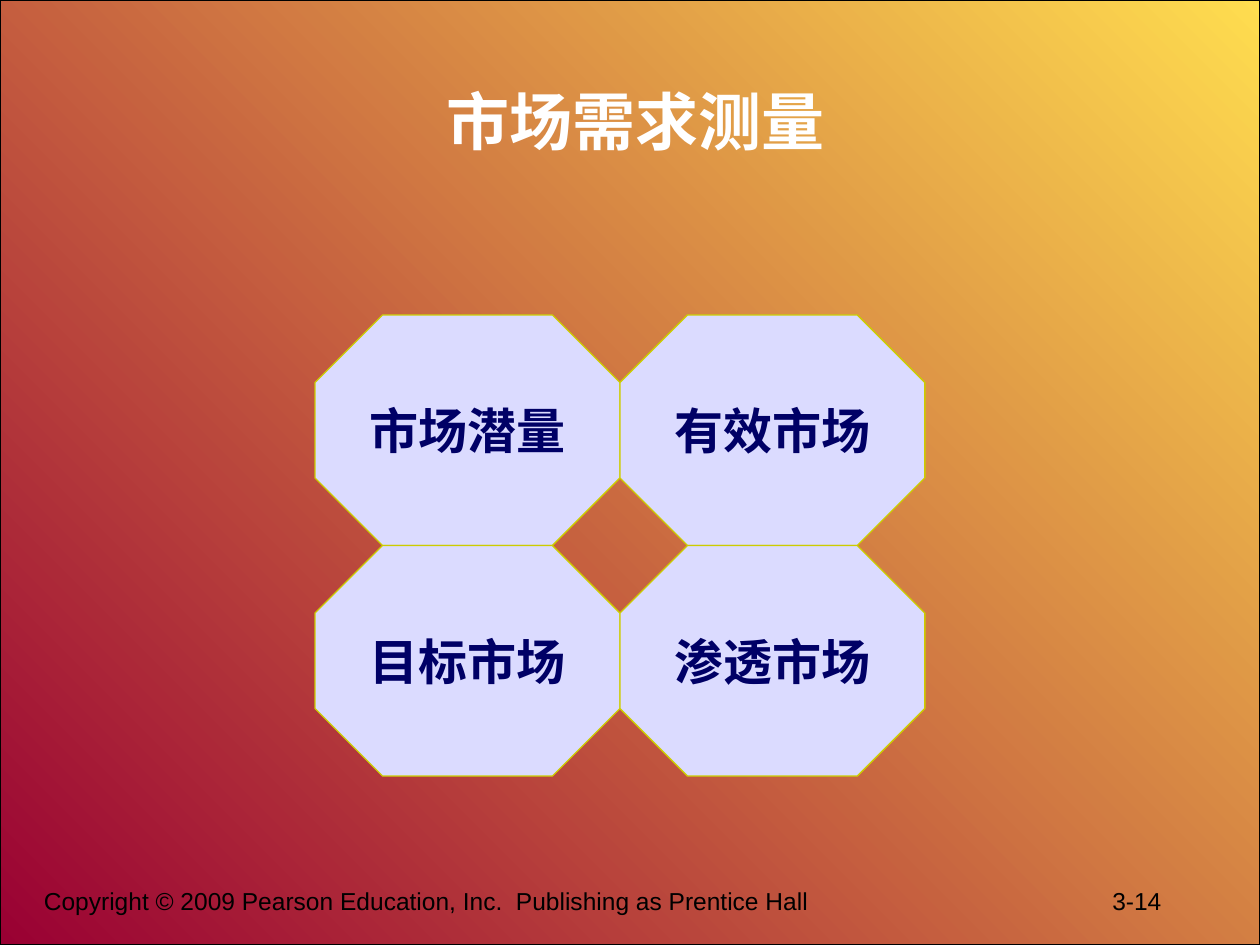
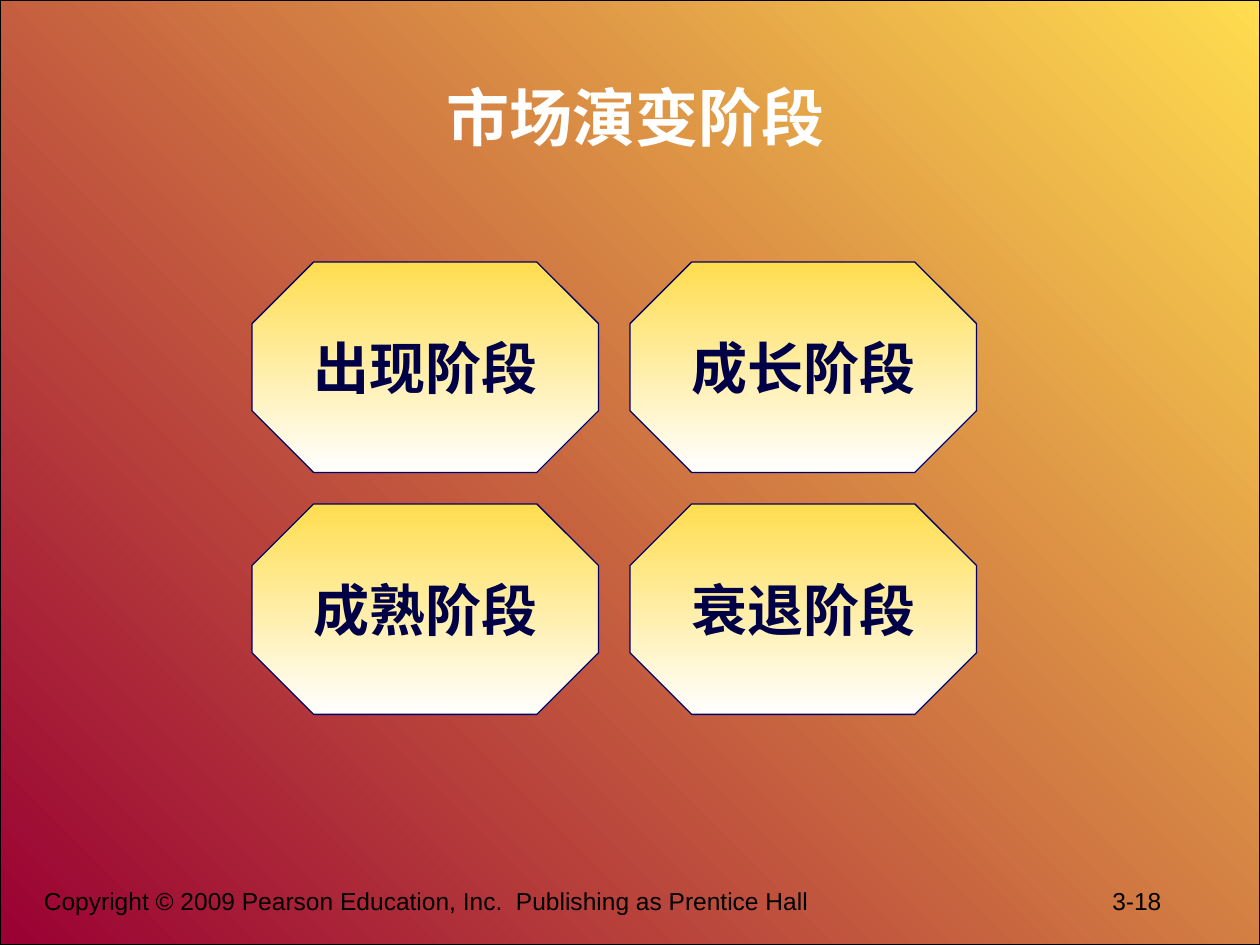
"""Build two slides on market demand and market evolution."""
from dataclasses import dataclass

from lxml import etree
from pptx import Presentation
from pptx import util as u
from pptx.dml.color import RGBColor
from pptx.enum import shapes, text
from pptx.oxml import ns


@dataclass(frozen=True)
class Theme:
    """Colours, fonts and type sizes shared by the slides."""
    yellow: str = "FFDD4F"
    crimson: str = "990033"
    white: str = "FFFFFF"
    black: str = "000000"
    lavender: str = "DBDBFF"
    olive: str = "CCCC00"
    navy: str = "000066"
    dark_navy: str = "000046"
    latin: str = "Arial"
    chinese: str = "Noto Sans CJK SC"
    title_size: int = 36
    demand_size: int = 28
    stage_size: int = 32
    footer_size: int = 14
    line_width: float = 0.75


@dataclass(frozen=True)
class OctagonStyle:
    """Look of the octagons on one slide."""
    fill: tuple
    line: str
    ink: str
    size: int


@dataclass(frozen=True)
class Grid:
    """Place of a two-column grid of octagons, in inches."""
    left: float
    top: float
    width: float
    height: float
    gap: float = 0


THEME = Theme()
DEMAND = OctagonStyle((THEME.lavender,), THEME.olive, THEME.navy, THEME.demand_size)
STAGE = OctagonStyle((THEME.yellow, THEME.white), THEME.navy, THEME.dark_navy, THEME.stage_size)
COPYRIGHT = "Copyright © 2009 Pearson Education, Inc.  Publishing as Prentice Hall"


def color(value):
    """Return a colour object for a hex value."""
    return RGBColor.from_string(value)


def inches(*lengths):
    """Return the lengths as a list of Inches."""
    return [u.Inches(length) for length in lengths]


def style_text(box, size, ink, latin, bold=False, align=text.PP_ALIGN.CENTER):
    """Format every run of a box."""
    for para in box.text_frame.paragraphs:
        para.alignment = align
        for span in para.runs:
            span.font.size = u.Pt(size)
            span.font.bold = bold
            span.font.name = latin
            span.font.color.rgb = color(ink)
            properties = span._r.get_or_add_rPr()
            etree.SubElement(properties, ns.qn("a:ea"), typeface=THEME.chinese)


def paint(shape, fill, line, angle=270):
    """Give a shape a solid or two-colour fill and a thin line."""
    shape.shadow.inherit = False
    if len(fill) == 1:
        shape.fill.solid()
        shape.fill.fore_color.rgb = color(fill[0])
    else:
        shape.fill.gradient()
        shape.fill.gradient_angle = angle
        for stop, value in zip(shape.fill.gradient_stops, fill):
            stop.color.rgb = color(value)
    shape.line.color.rgb = color(line)
    shape.line.width = u.Pt(THEME.line_width)


def add_backdrop(deck, page):
    """Draw the gradient backdrop and place it behind all slides of the layout."""
    backdrop = page.shapes.add_shape(
        shapes.MSO_SHAPE.RECTANGLE, 0, 0, deck.slide_width, deck.slide_height)
    paint(backdrop, (THEME.yellow, THEME.crimson), THEME.black, angle=225)
    page.slide_layout.shapes.element.insert(2, backdrop.element)


def add_footer(page, number):
    """Add the copyright line with the page number at a tab stop."""
    box = page.shapes.add_textbox(*inches(0.25, 6.98, 9.33, 0.52))
    box.text_frame.word_wrap = True
    para = box.text_frame.paragraphs[0]
    para.text = f"{COPYRIGHT}\t{number}"
    tabs = etree.SubElement(para._p.get_or_add_pPr(), ns.qn("a:tabLst"))
    etree.SubElement(tabs, ns.qn("a:tab"), pos=str(u.Inches(8.48)), algn="l")
    style_text(box, THEME.footer_size, THEME.black, THEME.latin, align=text.PP_ALIGN.LEFT)


def add_page(deck, title, title_top, number):
    """Add a titled page with its footer."""
    page = deck.slides.add_slide(deck.slide_layouts[5])
    box = page.shapes.title
    box.left, box.top, box.width, box.height = inches(0.83, title_top, 8.42, 1.25)
    box.text_frame.text = title
    box.text_frame.auto_size = text.MSO_AUTO_SIZE.NONE
    box.text_frame.vertical_anchor = text.MSO_ANCHOR.MIDDLE
    style_text(box, THEME.title_size, THEME.white, THEME.chinese, bold=True)
    add_footer(page, number)
    return page


def add_octagons(page, labels, grid, style):
    """Add labelled octagons in two columns, row by row."""
    for index, label in enumerate(labels):
        row, column = divmod(index, 2)
        left = grid.left + column * (grid.width + grid.gap)
        top = grid.top + row * (grid.height + grid.gap)
        octagon = page.shapes.add_shape(
            shapes.MSO_SHAPE.OCTAGON, *inches(left, top, grid.width, grid.height))
        octagon.adjustments[0] = 0.293
        paint(octagon, style.fill, style.line)
        octagon.text_frame.text = label
        octagon.text_frame.word_wrap = False
        octagon.text_frame.vertical_anchor = text.MSO_ANCHOR.MIDDLE
        style_text(octagon, style.size, style.ink, THEME.latin, bold=True)


def main():
    """Build and save the deck."""
    deck = Presentation()
    deck.slide_width, deck.slide_height = inches(10, 7.5)

    demand = add_page(deck, "市场需求测量", 0.33, "3-14")
    add_backdrop(deck, demand)
    add_octagons(demand, ["市场潜量", "有效市场", "目标市场", "渗透市场"],
                 Grid(2.5, 2.5, 2.42, 1.83), DEMAND)

    evolution = add_page(deck, "市场演变阶段", 0.3, "3-18")
    add_octagons(evolution, ["出现阶段", "成长阶段", "成熟阶段", "衰退阶段"],
                 Grid(2, 2.08, 2.75, 1.67, 0.25), STAGE)

    deck.save("out.pptx")


if __name__ == "__main__":
    main()
